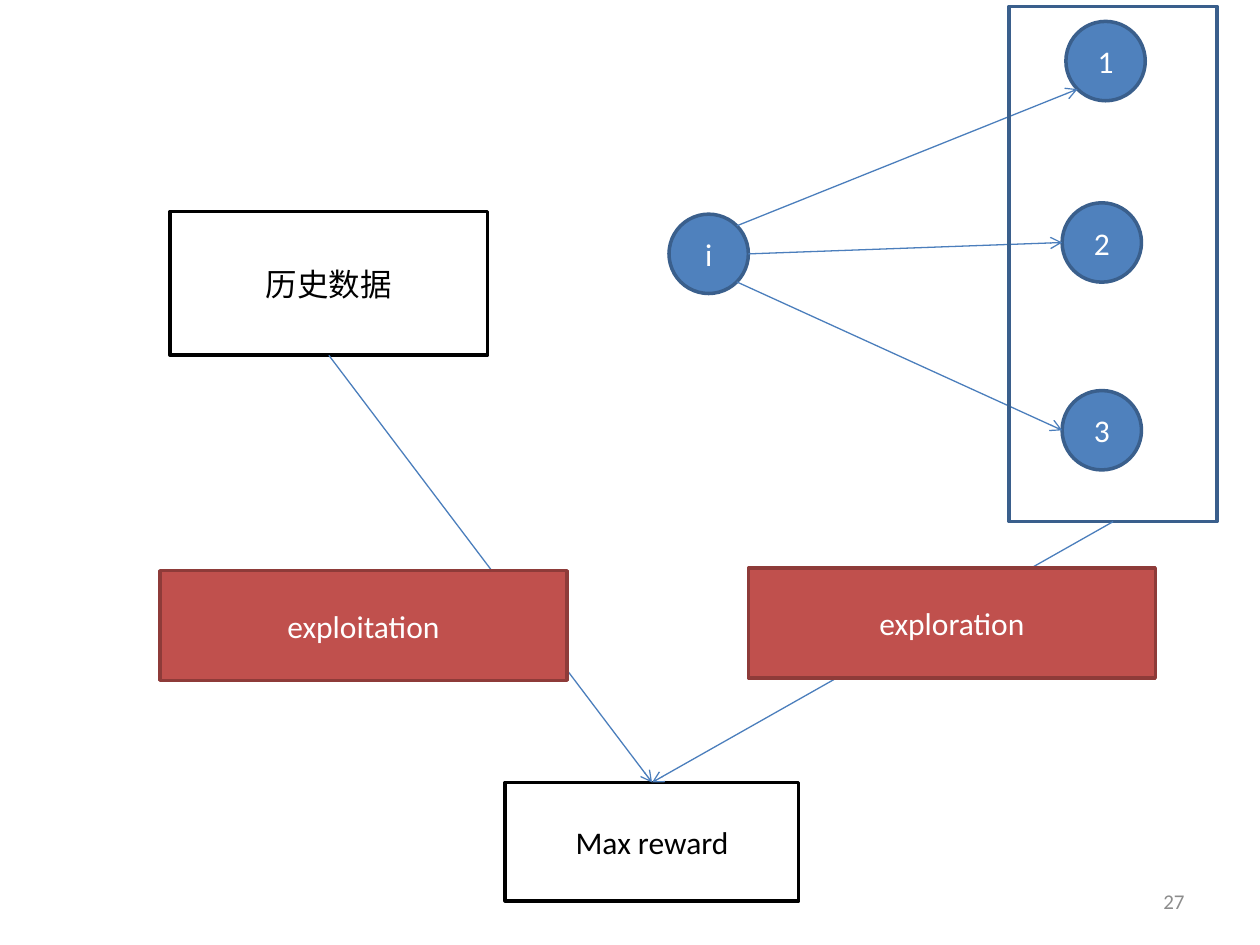
from dataclasses import dataclass
from math import cos, radians, sin
from typing import Optional

from lxml.etree import SubElement
from pptx import Presentation
from pptx.dml.color import RGBColor
from pptx.enum.shapes import MSO_CONNECTOR as Connector, MSO_SHAPE as Preset
from pptx.enum.text import MSO_ANCHOR as Anchor, PP_ALIGN as Align
from pptx.oxml.ns import qn
from pptx.util import Inches, Pt

FONT = "Calibri"
WHITE = RGBColor(0xFF, 0xFF, 0xFF)
BLACK = RGBColor(0x00, 0x00, 0x00)
GRAY = RGBColor(0x8C, 0x8C, 0x8C)
BLUE = RGBColor(0x4F, 0x81, 0xBD)
DARK_BLUE = RGBColor(0x3A, 0x5F, 0x8C)
ARROW_BLUE = RGBColor(0x4B, 0x7E, 0xBC)
RED = RGBColor(0xC0, 0x50, 0x4D)
DARK_RED = RGBColor(0x8E, 0x3B, 0x39)

NODE_SIZE = 0.63


@dataclass(frozen=True)
class Style:
    """Fill, outline and text colours of a box."""
    fill: Optional[RGBColor]
    line: RGBColor
    text: RGBColor


NODE = Style(BLUE, DARK_BLUE, WHITE)
PLAIN = Style(WHITE, BLACK, BLACK)
STRATEGY = Style(RED, DARK_RED, WHITE)
FRAME = Style(None, DARK_BLUE, BLACK)


@dataclass(frozen=True)
class Box:
    """A labelled shape, measured in inches."""
    label: str
    left: float
    top: float
    width: float
    height: float
    style: Style
    preset: Preset = Preset.RECTANGLE

    def rim(self, degrees: float) -> tuple[float, float]:
        """Return the point on the inscribed ellipse, clockwise from the right."""
        angle = radians(degrees)
        return (self.left + self.width / 2 * (1 + cos(angle)),
                self.top + self.height / 2 * (1 + sin(angle)))


def node(label: str, left: float, top: float) -> Box:
    """Describe one round node."""
    return Box(label, left, top, NODE_SIZE, NODE_SIZE, NODE, Preset.OVAL)


def write(shape, text: str, size: float, color: RGBColor, align: Align) -> None:
    """Put one vertically centred paragraph into a shape."""
    frame = shape.text_frame
    frame.word_wrap = True
    frame.vertical_anchor = Anchor.MIDDLE
    para = frame.paragraphs[0]
    para.text = text
    para.alignment = align
    para.font.name = FONT
    para.font.size = Pt(size)
    para.font.color.rgb = color


def draw_box(page, box: Box) -> None:
    """Draw a box with its label, if it has one."""
    shape = page.shapes.add_shape(box.preset, Inches(box.left), Inches(box.top),
                                  Inches(box.width), Inches(box.height))
    shape.shadow.inherit = False
    if box.style.fill is None:
        shape.fill.background()
    else:
        shape.fill.solid()
        shape.fill.fore_color.rgb = box.style.fill
    shape.line.color.rgb = box.style.line
    shape.line.width = Pt(2)
    if box.label:
        write(shape, box.label, 18, box.style.text, Align.CENTER)


def draw_arrow(page, start: tuple[float, float], end: tuple[float, float]) -> None:
    """Draw a thin arrow with an open head at its end."""
    arrow = page.shapes.add_connector(Connector.STRAIGHT, *map(Inches, start + end))
    arrow.line.color.rgb = ARROW_BLUE
    arrow.line.width = Pt(0.75)
    SubElement(arrow.line._get_or_add_ln(), qn("a:tailEnd"), type="arrow")
    SubElement(arrow._element.spPr, qn("a:effectLst"))


RIGHT, BOTTOM_RIGHT, BOTTOM_LEFT, LEFT, TOP_RIGHT = 0, 45, 135, 180, 315
BOTTOM, TOP = 90, 270

source = node("i", 5.31, 1.7)
first = node("1", 8.46, 0.17)
second = node("2", 8.43, 1.61)
third = node("3", 8.43, 3.1)
history = Box("历史数据", 1.35, 1.68, 2.52, 1.14, PLAIN)
reward = Box("Max reward", 4.01, 6.21, 2.33, 0.94, PLAIN)
choices = Box("", 8.01, 0.05, 1.65, 4.09, FRAME)
exploitation = Box("exploitation", 1.27, 4.53, 3.23, 0.87, STRATEGY)
exploration = Box("exploration", 5.94, 4.51, 3.23, 0.87, STRATEGY)

deck = Presentation()
deck.slide_width, deck.slide_height = Inches(10), Inches(7.5)
page = deck.slides.add_slide(deck.slide_layouts[6])

number = page.shapes.add_textbox(Inches(7.17), Inches(6.95), Inches(2.33), Inches(0.4))
write(number, "27", 12, GRAY, Align.RIGHT)

for box in (source, third, second, first):
    draw_box(page, box)
draw_arrow(page, source.rim(TOP_RIGHT), first.rim(BOTTOM_LEFT))
draw_arrow(page, source.rim(RIGHT), second.rim(LEFT))
draw_arrow(page, source.rim(BOTTOM_RIGHT), third.rim(LEFT))

for box in (history, reward, choices):
    draw_box(page, box)
for origin in (history, choices):
    draw_arrow(page, origin.rim(BOTTOM), reward.rim(TOP))

# The strategy boxes cover the middle of the arrows to the reward.
for box in (exploitation, exploration):
    draw_box(page, box)

deck.save("out.pptx")
